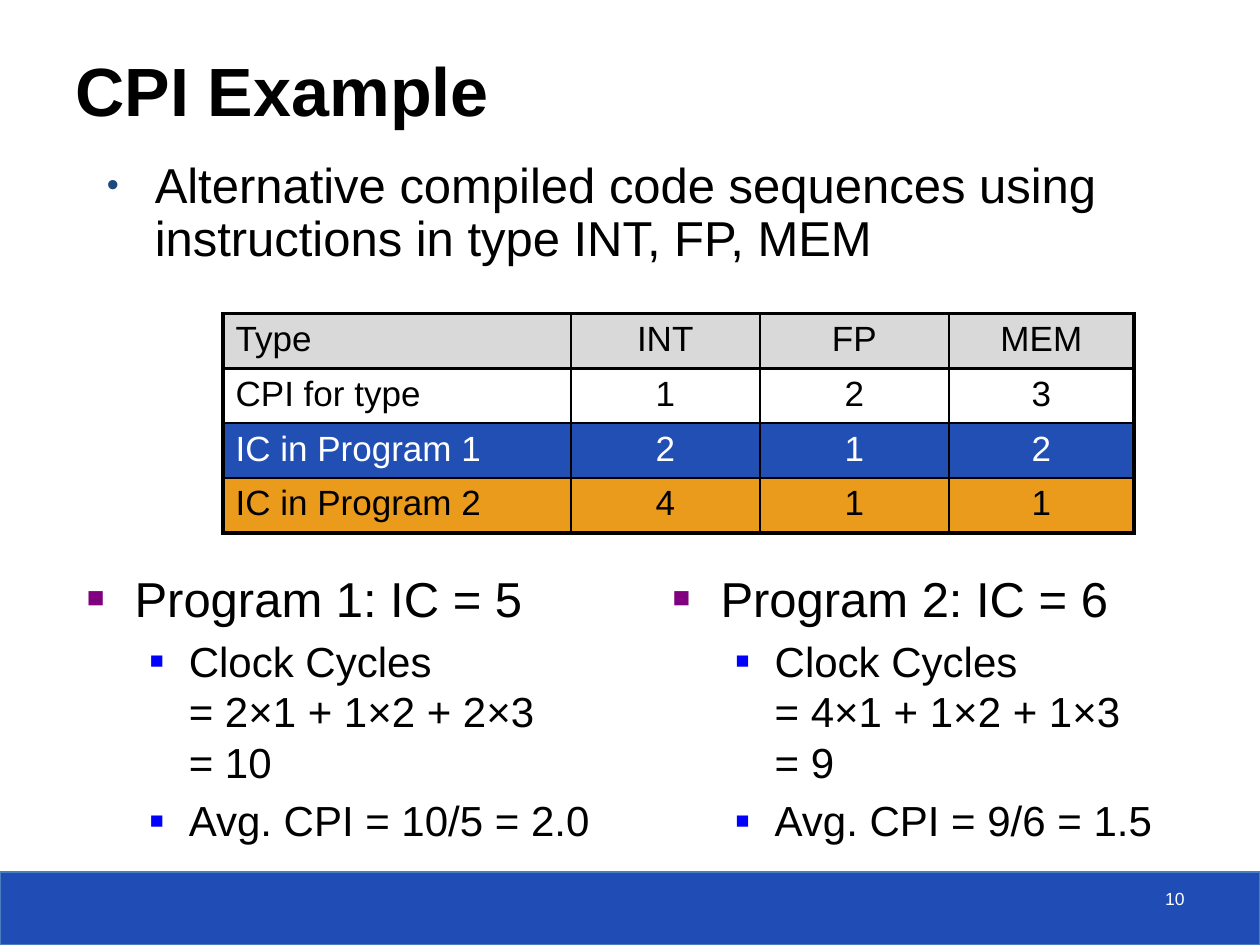
import dataclasses

import pptx
import pptx.dml.color
import pptx.enum.shapes
import pptx.enum.text
import pptx.oxml
import pptx.oxml.ns
import pptx.util

Inches = pptx.util.Inches
Pt = pptx.util.Pt
Align = pptx.enum.text.PP_ALIGN
Anchor = pptx.enum.text.MSO_ANCHOR
NAMESPACE = pptx.oxml.ns.nsdecls("a")


@dataclasses.dataclass(frozen=True)
class Theme:
    font: str = "Arial"
    ink: str = "000000"
    paper: str = "FFFFFF"
    footer: str = "204DB5"
    footer_edge: str = "4B7EBC"
    header: str = "D9D9D9"
    program_1: str = "224FB3"
    program_2: str = "EA9B1C"
    title_size: float = 39
    body_size: float = 28
    detail_size: float = 24
    table_size: float = 20
    number_size: float = 10
    outer_border: float = 2.25
    inner_border: float = 1


@dataclasses.dataclass(frozen=True)
class Bullet:
    mark: str
    color: str
    percent: int
    indent: float
    hanging: float
    size: float
    level: int = 0
    line_spacing: float = 1.0


def rgb(color):
    return pptx.dml.color.RGBColor.from_string(color)


class SlideBuilder:
    """Holds the theme and the current slide, and adds styled elements to it."""

    def __init__(self, slide, theme):
        self.slide = slide
        self.theme = theme

    def style(self, paragraph, size, color, bold=False):
        for run in paragraph.runs:
            run.font.name = self.theme.font
            run.font.size = Pt(size)
            run.font.bold = bold
            run.font.color.rgb = rgb(color)

    def bar(self, left, top, width, height, fill, edge):
        bar = self.slide.shapes.add_shape(
            pptx.enum.shapes.MSO_SHAPE.RECTANGLE,
            Inches(left), Inches(top), Inches(width), Inches(height))
        bar.shadow.inherit = False
        bar.fill.solid()
        bar.fill.fore_color.rgb = rgb(fill)
        bar.line.color.rgb = rgb(edge)
        bar.line.width = Pt(0.75)

    def frame(self, left, top, width, height, anchor=Anchor.TOP):
        frame = self.slide.shapes.add_textbox(
            Inches(left), Inches(top), Inches(width), Inches(height)).text_frame
        frame.word_wrap = True
        frame.vertical_anchor = anchor
        return frame

    def label(self, box, text, size, color, bold=False,
              align=Align.LEFT, anchor=Anchor.TOP):
        frame = self.frame(*box, anchor)
        frame.text = text
        frame.paragraphs[0].alignment = align
        self.style(frame.paragraphs[0], size, color, bold)

    def bullets(self, box, items):
        frame = self.frame(*box)
        for index, (bullet, text) in enumerate(items):
            paragraph = frame.add_paragraph() if index else frame.paragraphs[0]
            paragraph.text = text
            paragraph.level = bullet.level
            paragraph.line_spacing = bullet.line_spacing
            paragraph.space_before = Pt(round(bullet.size * 0.2, 1))
            self.style(paragraph, bullet.size, self.theme.ink)
            properties = paragraph._p.get_or_add_pPr()
            properties.set("marL", str(Inches(bullet.indent)))
            properties.set("indent", str(-Inches(bullet.hanging)))
            for xml in (
                f'<a:buClr {NAMESPACE}><a:srgbClr val="{bullet.color}"/></a:buClr>',
                f'<a:buSzPct {NAMESPACE} val="{bullet.percent * 1000}"/>',
                f'<a:buFont {NAMESPACE} typeface="{self.theme.font}"/>',
                f'<a:buChar {NAMESPACE} char="{bullet.mark}"/>',
            ):
                properties.append(pptx.oxml.parse_xml(xml))

    def borders(self, cell, widths):
        properties = cell._tc.get_or_add_tcPr()
        for index, (side, width) in enumerate(widths.items()):
            properties.insert(index, pptx.oxml.parse_xml(
                f'<a:{side} {NAMESPACE} w="{Pt(width)}"><a:solidFill>'
                f'<a:srgbClr val="{self.theme.ink}"/></a:solidFill></a:{side}>'))

    def table(self, left, top, column_widths, row_heights, rows):
        theme = self.theme
        table = self.slide.shapes.add_table(
            len(rows), len(column_widths), Inches(left), Inches(top),
            Inches(sum(column_widths)), Inches(sum(row_heights))).table
        table.first_row = table.horz_banding = False
        for column, width in zip(table.columns, column_widths):
            column.width = Inches(width)
        for row, height in zip(table.rows, row_heights):
            row.height = Inches(height)
        last_row, last_column = len(rows) - 1, len(column_widths) - 1
        for r, (fill, color, values) in enumerate(rows):
            for c, value in enumerate(values):
                cell = table.cell(r, c)
                cell.text = value
                cell.fill.solid()
                cell.fill.fore_color.rgb = rgb(fill)
                paragraph = cell.text_frame.paragraphs[0]
                paragraph.alignment = Align.CENTER if c else Align.LEFT
                self.style(paragraph, theme.table_size, color)
                heavy = {"lnL": c == 0, "lnR": c == last_column,
                         "lnT": r <= 1, "lnB": r in (0, last_row)}
                self.borders(cell, {
                    side: theme.outer_border if is_heavy else theme.inner_border
                    for side, is_heavy in heavy.items()})


def main():
    theme = Theme()
    deck = pptx.Presentation()
    deck.slide_width, deck.slide_height = Inches(10), Inches(7.5)
    builder = SlideBuilder(deck.slides.add_slide(deck.slide_layouts[6]), theme)

    builder.bar(0, 6.92, 10, 0.58, theme.footer, theme.footer_edge)
    builder.label((0.5, 0.25, 9.29, 0.83), "CPI Example", theme.title_size,
                  theme.ink, bold=True, anchor=Anchor.BOTTOM)

    intro = Bullet("•", "1F497D", 70, 0.38, 0.38, theme.body_size, line_spacing=0.9)
    program = Bullet("■", "800080", 60, 0.38, 0.38, theme.body_size)
    detail = Bullet("■", "0000FF", 55, 0.81, 0.31, theme.detail_size, level=1)

    builder.bullets((0.75, 1.23, 9.05, 1.09), [
        (intro, "Alternative compiled code sequences using instructions in type INT, FP, MEM")])

    results = [
        ("Program 1: IC = 5", "Clock Cycles\v= 2×1 + 1×2 + 2×3\v= 10", "Avg. CPI = 10/5 = 2.0"),
        ("Program 2: IC = 6", "Clock Cycles\v= 4×1 + 1×2 + 1×3\v= 9", "Avg. CPI = 9/6 = 1.5"),
    ]
    for index, (heading, cycles, average) in enumerate(results):
        builder.bullets((0.59 + 4.65 * index, 4.46, 4.25, 2.28), [
            (program, heading), (detail, cycles), (detail, average)])

    builder.table(1.77, 2.49, [2.76, 1.5, 1.5, 1.47], [0.43, 0.43, 0.43, 0.44], [
        (theme.header, theme.ink, ["Type", "INT", "FP", "MEM"]),
        (theme.paper, theme.ink, ["CPI for type", "1", "2", "3"]),
        (theme.program_1, theme.paper, ["IC in Program 1", "2", "1", "2"]),
        (theme.program_2, theme.ink, ["IC in Program 2", "4", "1", "1"]),
    ])
    builder.label((7.17, 7, 2.33, 0.33), "10", theme.number_size,
                  theme.paper, align=Align.RIGHT)
    deck.save("out.pptx")


if __name__ == "__main__":
    main()
